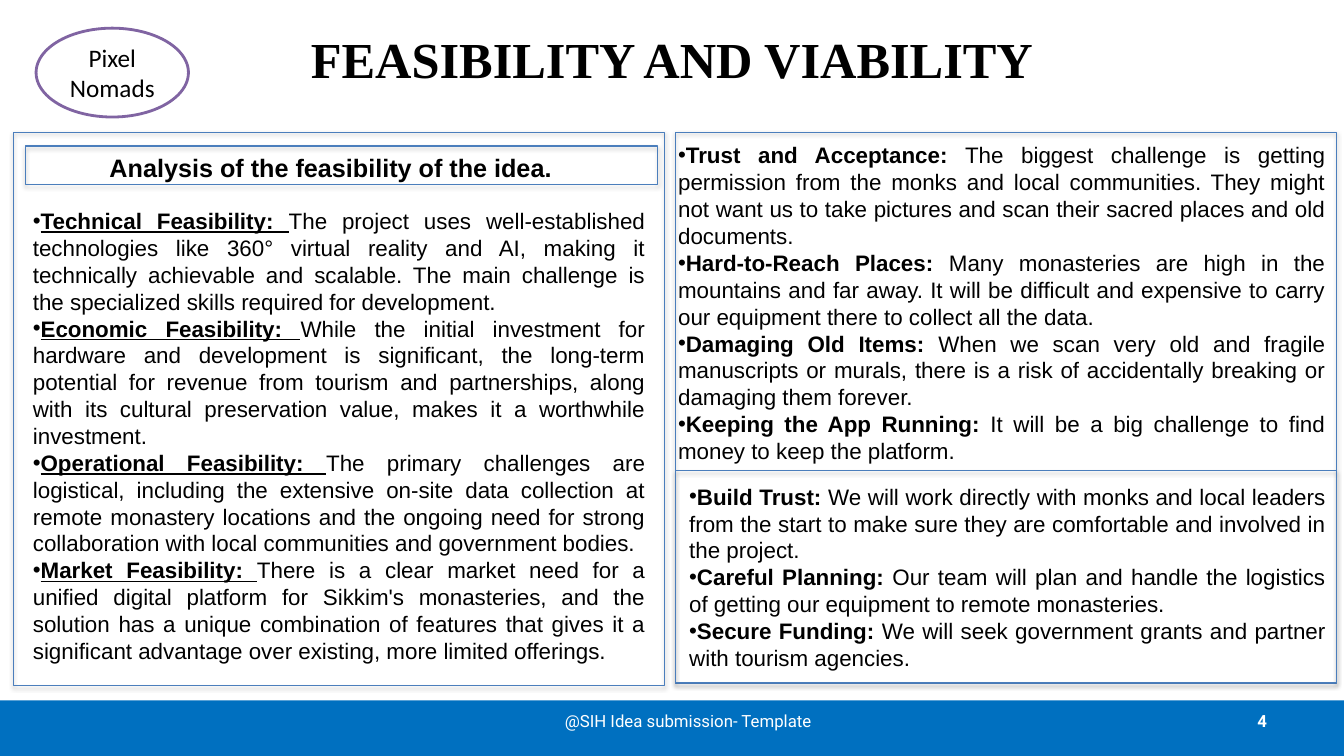
from dataclasses import dataclass

import lxml.etree
import pptx
import pptx.dml.color
import pptx.enum.shapes
import pptx.enum.text
import pptx.oxml.ns
import pptx.util

Cm = pptx.util.Cm
Pt = pptx.util.Pt
PP_ALIGN = pptx.enum.text.PP_ALIGN
MSO_ANCHOR = pptx.enum.text.MSO_ANCHOR
MSO_SHAPE = pptx.enum.shapes.MSO_SHAPE
qn = pptx.oxml.ns.qn

BLACK, WHITE = "000000", "FFFFFF"
FOOTER_BLUE, PANEL_BLUE, BADGE_PURPLE = "0070C0", "4B7EBC", "8064A2"


@dataclass
class Box:
    left: float
    top: float
    width: float
    height: float

    def lengths(self) -> tuple:
        return Cm(self.left), Cm(self.top), Cm(self.width), Cm(self.height)


@dataclass
class Style:
    size: float
    font: str = "Arial"
    color: str = BLACK
    bold: bool = False
    underline: bool = False


@dataclass
class Point:
    label: str
    text: str


@dataclass
class PointList:
    box: Box
    points: list[Point]
    underline: bool = False


@dataclass
class Label:
    box: Box
    text: str
    style: Style
    align: PP_ALIGN
    anchor: MSO_ANCHOR = MSO_ANCHOR.MIDDLE


def rgb(color: str) -> pptx.dml.color.RGBColor:
    return pptx.dml.color.RGBColor.from_string(color)


def add_run(p, text: str, style: Style) -> None:
    r = p.add_run()
    r.text = text
    r.font.size = Pt(style.size)
    r.font.name = style.font
    r.font.bold = style.bold
    r.font.underline = style.underline
    r.font.color.rgb = rgb(style.color)


def add_shadow(sp, color: str, blur: float) -> None:
    effects = sp._element.spPr.find(qn("a:effectLst"))
    shadow = lxml.etree.SubElement(
        effects, qn("a:outerShdw"), blurRad=str(Pt(blur)), dist=str(Pt(1.8)),
        dir="5400000", rotWithShape="0")
    clr = lxml.etree.SubElement(shadow, qn("a:srgbClr"), val=color)
    lxml.etree.SubElement(clr, qn("a:alpha"), val="35000")


def add_shape(s, kind: MSO_SHAPE, box: Box, fill: str = "", line: str = "",
              weight: float = 0.75):
    sp = s.shapes.add_shape(kind, *box.lengths())
    sp.shadow.inherit = False
    if fill:
        sp.fill.solid()
        sp.fill.fore_color.rgb = rgb(fill)
    else:
        sp.fill.background()
    if line:
        sp.line.color.rgb = rgb(line)
        sp.line.width = Pt(weight)
    else:
        sp.line.fill.background()
    return sp


def add_panel(s, box: Box) -> None:
    add_shadow(add_shape(s, MSO_SHAPE.RECTANGLE, box, line=PANEL_BLUE), BLACK, 3.1)


def add_text_frame(s, box: Box, anchor: MSO_ANCHOR):
    tf = s.shapes.add_textbox(*box.lengths()).text_frame
    tf.word_wrap = True
    tf.vertical_anchor = anchor
    return tf


def add_label(s, label: Label) -> None:
    p = add_text_frame(s, label.box, label.anchor).paragraphs[0]
    p.alignment = label.align
    add_run(p, label.text, label.style)


def add_points(s, points: PointList) -> None:
    tf = add_text_frame(s, points.box, MSO_ANCHOR.MIDDLE)
    tf.auto_size = pptx.enum.text.MSO_AUTO_SIZE.SHAPE_TO_FIT_TEXT
    for i, point in enumerate(points.points):
        p = tf.add_paragraph() if i else tf.paragraphs[0]
        p.alignment = PP_ALIGN.JUSTIFY
        pPr = p._p.get_or_add_pPr()
        lxml.etree.SubElement(pPr, qn("a:buFont"), typeface="Arial")
        lxml.etree.SubElement(pPr, qn("a:buChar"), char="•")
        add_run(p, point.label, Style(16, bold=True, underline=points.underline))
        add_run(p, " ", Style(16, underline=points.underline))
        add_run(p, point.text, Style(16))


FEASIBILITY = PointList(Box(0.58, 5.03, 15.93, 11.89), [
    Point("Technical Feasibility:", "The project uses well-established technologies like 360° virtual reality and AI, making it technically achievable and scalable. The main challenge is the specialized skills required for development."),
    Point("Economic Feasibility:", "While the initial investment for hardware and development is significant, the long-term potential for revenue from tourism and partnerships, along with its cultural preservation value, makes it a worthwhile investment."),
    Point("Operational Feasibility:", "The primary challenges are logistical, including the extensive on-site data collection at remote monastery locations and the ongoing need for strong collaboration with local communities and government bodies."),
    Point("Market Feasibility:", "There is a clear market need for a unified digital platform for Sikkim's monasteries, and the solution has a unique combination of features that gives it a significant advantage over existing, more limited offerings."),
], underline=True)
CHALLENGES = PointList(Box(16.84, 3.4, 16.81, 8.46), [
    Point("Trust and Acceptance:", "The biggest challenge is getting permission from the monks and local communities. They might not want us to take pictures and scan their sacred places and old documents."),
    Point("Hard-to-Reach Places:", "Many monasteries are high in the mountains and far away. It will be difficult and expensive to carry our equipment there to collect all the data."),
    Point("Damaging Old Items:", "When we scan very old and fragile manuscripts or murals, there is a risk of accidentally breaking or damaging them forever."),
    Point("Keeping the App Running:", "It will be a big challenge to find money to keep the platform."),
])
STRATEGIES = PointList(Box(17.12, 12.01, 16.54, 5.05), [
    Point("Build Trust:", "We will work directly with monks and local leaders from the start to make sure they are comfortable and involved in the project."),
    Point("Careful Planning:", "Our team will plan and handle the logistics of getting our equipment to remote monasteries."),
    Point("Secure Funding:", "We will seek government grants and partner with tourism agencies."),
])
PANELS = [
    Box(0.33, 3.33, 16.43, 13.94),
    Box(0.64, 3.68, 15.93, 0.97),
    Box(17.02, 3.33, 16.66, 13.89),
    Box(17.02, 11.86, 16.66, 5.33),
]
LABELS = [
    Label(Box(24.28, 17.65, 7.9, 1.02), "4",
          Style(12, "Roboto", WHITE, bold=True), PP_ALIGN.RIGHT),
    Label(Box(12.9, 17.65, 8.89, 1.02), "@SIH Idea submission- Template",
          Style(12, "Roboto", WHITE), PP_ALIGN.CENTER),
    Label(Box(2.51, 3.71, 14.43, 1.02), "Analysis of the feasibility of the idea.",
          Style(18, bold=True), PP_ALIGN.LEFT, MSO_ANCHOR.TOP),
]


def main() -> None:
    prs = pptx.Presentation()
    prs.slide_width, prs.slide_height = Cm(33.87), Cm(19.05)
    s = prs.slides.add_slide(prs.slide_layouts[5])

    footer = add_shape(s, MSO_SHAPE.RECTANGLE, Box(0, 17.65, 33.87, 1.4), FOOTER_BLUE)
    add_shadow(footer, "808080", 0)

    title = s.shapes.title
    title.left, title.top, title.width, title.height = Box(1.7, -0.13, 30.48, 3.18).lengths()
    title.text_frame.vertical_anchor = MSO_ANCHOR.MIDDLE
    p = title.text_frame.paragraphs[0]
    p.alignment = PP_ALIGN.CENTER
    add_run(p, "FEASIBILITY AND VIABILITY", Style(36, "Times New Roman", bold=True))

    team = add_shape(s, MSO_SHAPE.OVAL, Box(0.91, 0.71, 3.84, 2.24), WHITE, BADGE_PURPLE, 2)
    tf = team.text_frame
    tf.vertical_anchor = MSO_ANCHOR.MIDDLE
    for i, word in enumerate(["Pixel", "Nomads"]):
        p = tf.add_paragraph() if i else tf.paragraphs[0]
        p.alignment = PP_ALIGN.CENTER
        add_run(p, word, Style(18, "Calibri"))

    for panel in PANELS:
        add_panel(s, panel)
    for label in LABELS:
        add_label(s, label)
    for points in (FEASIBILITY, CHALLENGES, STRATEGIES):
        add_points(s, points)

    prs.save("out.pptx")


if __name__ == "__main__":
    main()
